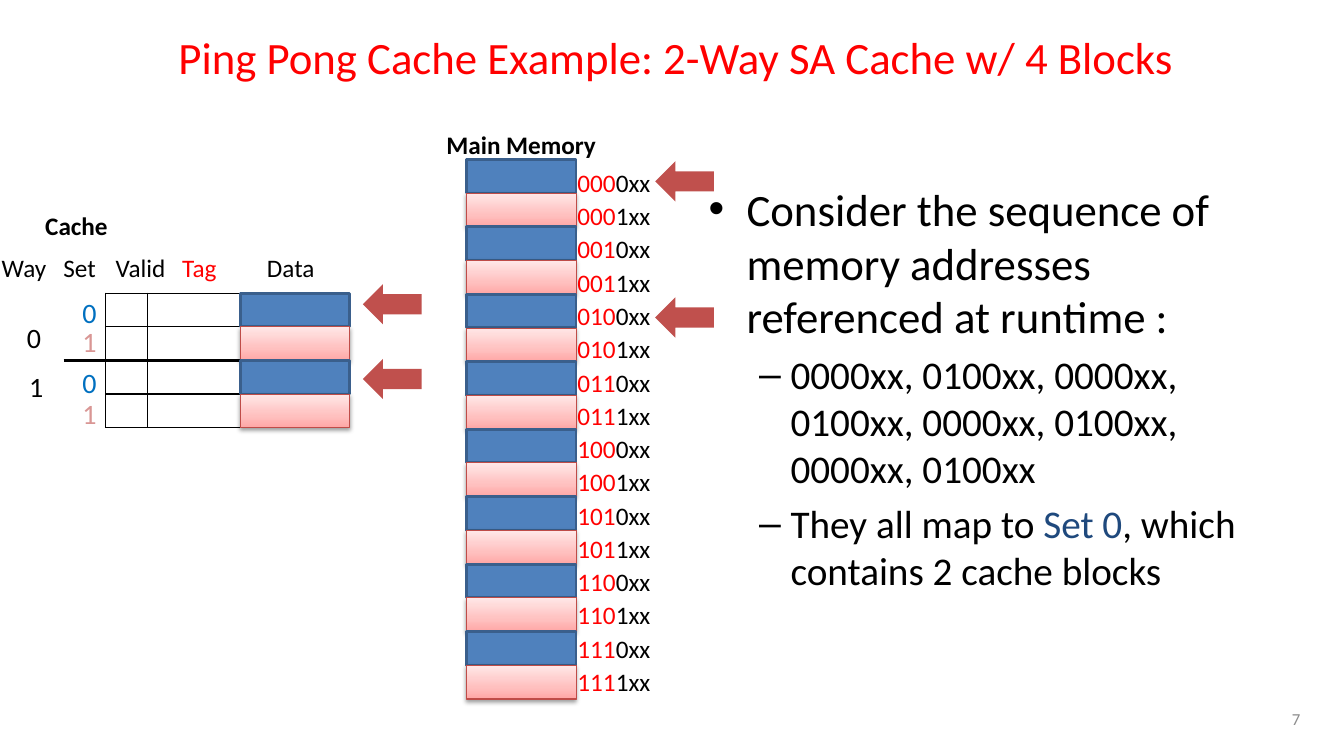
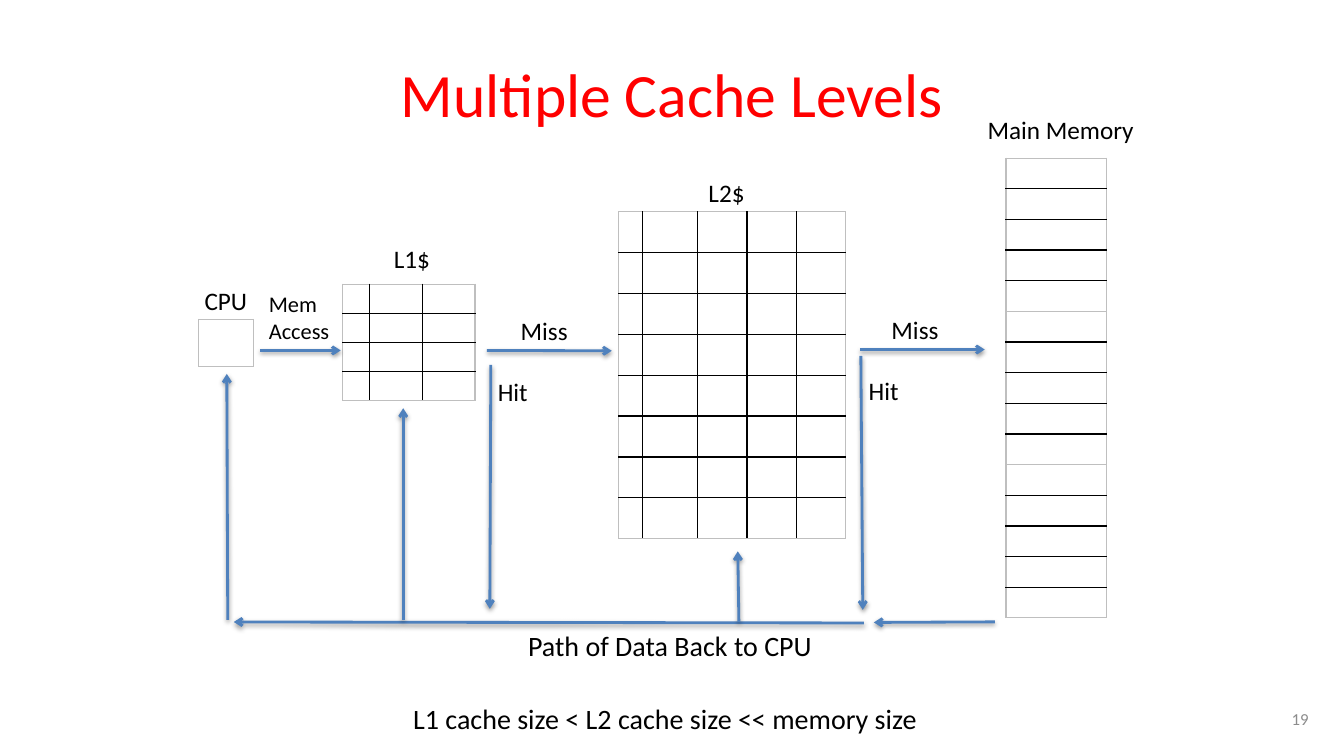
from dataclasses import dataclass
from itertools import product

from lxml.etree import SubElement
from pptx import Presentation
from pptx.dml.color import RGBColor as RGB
from pptx.enum.shapes import MSO_CONNECTOR as CONN, MSO_SHAPE as SHAPE
from pptx.enum.text import MSO_ANCHOR as ANCHOR, MSO_AUTO_SIZE as AUTO, PP_ALIGN as ALIGN
from pptx.oxml import parse_xml
from pptx.oxml.ns import nsdecls, qn
from pptx.util import Pt


@dataclass(frozen=True)
class Theme:
    font: str = "Calibri"
    black: str = "000000"
    red: str = "FF0000"
    gray: str = "8C8C8C"
    edge: str = "BFBFBF"
    blue: str = "4F81BD"
    blue_line: str = "3A5F8C"
    navy: str = "1F497D"
    set0: str = "0070C0"
    set1: str = "D99694"
    pink_line: str = "BF4C48"
    arrow: str = "C0504D"
    pink: tuple = ((0, "FFA6A5"), (35, "FFC0BF"), (100, "FFE7E7"))
    title: int = 44
    body: int = 32
    sub: int = 28
    large: int = 20
    label: int = 18
    small: int = 16
    number: int = 12


T = Theme()

PING_PONG = "Ping Pong Cache Example: 2-Way SA Cache w/ 4 Blocks"
BULLETS = [
    (0, [("Consider the sequence of memory addresses referenced at runtime :", T.black)]),
    (1, [("0000xx, 0100xx, 0000xx, 0100xx, 0000xx, 0100xx, 0000xx, 0100xx", T.black)]),
    (1, [("They all map to ", T.black), ("Set 0", T.navy),
         (", which contains 2 cache blocks", T.black)]),
]
CACHE_LABELS = [
    ("Main Memory", 311.8, 88.6, 122, T.label, T.black, True),
    ("Cache", 25.2, 146.9, 60, T.label, T.black, True),
    ("Way", -5.8, 176.4, 47, T.label, T.black, False),
    ("Set", 38.2, 176.4, 38, T.label, T.black, False),
    ("Valid", 75.6, 176.4, 50, T.label, T.black, False),
    ("Tag", 123.1, 176.4, 39, T.label, T.red, False),
    ("Data", 183.6, 176.4, 49, T.label, T.black, False),
    ("0", 12.2, 225.4, 25, T.large, T.black, False),
    ("1", 13.7, 260.6, 25, T.large, T.black, False),
    ("0", 51.8, 207.4, 25, T.large, T.set0, False),
    ("1", 51.8, 228.2, 25, T.large, T.set1, False),
    ("0", 51.8, 257.8, 25, T.large, T.set0, False),
    ("1", 51.8, 279.4, 25, T.large, T.set1, False),
]
POINTERS = [(259.2, 203), (259.2, 256.3), (468, 115.2), (468, 212.4)]
BLOCK_W, BLOCK_H = 78, 24
MEMORY_X, MEMORY_Y, MEMORY_PITCH = 333.5, 113.8, 24.1
CACHE_X, CACHE_Y = 75.6, 209.5

LEVELS = "Multiple Cache Levels"
MEMORY_PART = 109.44
LEVEL_TABLES = [
    (142, 228.2, [39], [33.7]),
    (244.8, 203, [19, 38, 37.5], [20.75] * 4),
    (442, 151.2, [17, 39.4, 35.2, 35.2, 35.2], [29.2] * 8),
] + [(718.6, 113 + k * MEMORY_PART, [72], [MEMORY_PART / 5] * 5) for k in range(3)]
LEVEL_LABELS = [
    ("CPU", 139, 200.2, 54, T.label),
    ("Mem\nAccess", 185, 203.8, 69, T.small),
    ("L1$", 274.3, 170.6, 45, T.label),
    ("L2$", 499, 123.1, 45, T.label),
    ("Main Memory", 698.4, 77.8, 127, T.label),
    ("Path of Data Back to CPU", 370.1, 445.7, 270, T.large),
    ("L1 cache size < L2 cache size << memory size", 288, 497.5, 444, T.large),
]
OUTCOMES = [(348.5, 221.8), (613.4, 221)]
ARROWS = [
    (185.8, 250.3, 243.4, 250.3),
    (347.8, 250.3, 437, 250.6),
    (614.2, 249.7, 703.4, 249.7),
    (350.6, 260.6, 349.9, 434.9),
    (614.9, 254.2, 616.3, 435.6),
    (710.6, 444.2, 624.2, 444.6),
    (617, 445, 167, 444.3),
    (162.7, 442.8, 162, 267.1),
    (288, 442.8, 288, 291.6),
    (527.8, 444.2, 527, 393.8),
]


def style(font, size, color=T.black, bold=False):
    font.name, font.size, font.bold = T.font, Pt(size), bold
    font.color.rgb = RGB.from_string(color)


def place(shape, *box):
    shape.left, shape.top, shape.width, shape.height = map(Pt, box)


def add_effects(shape, shadow):
    outer = ('<a:outerShdw blurRad="40000" dist="20000" dir="5400000" rotWithShape="0">'
             '<a:srgbClr val="000000"><a:alpha val="38000"/></a:srgbClr></a:outerShdw>')
    xml = f'<a:effectLst {nsdecls("a")}>{outer if shadow else ""}</a:effectLst>'
    shape._element.spPr.append(parse_xml(xml))


def add_title(s, text, box, size, spacing=1.0):
    sp = s.shapes.title
    place(sp, *box)
    tf = sp.text_frame
    tf.text = text
    tf.auto_size, tf.vertical_anchor = AUTO.NONE, ANCHOR.MIDDLE
    p = tf.paragraphs[0]
    p.alignment, p.line_spacing = ALIGN.CENTER, spacing
    style(p.runs[0].font, size, T.red)


def add_label(s, text, x, y, w, size, color=T.black, bold=False):
    sp = s.shapes.add_textbox(Pt(x), Pt(y), Pt(w), Pt(size * 1.6))
    tf = sp.text_frame
    tf.word_wrap = True
    tf.text = text
    for p in tf.paragraphs:
        for r in p.runs:
            style(r.font, size, color, bold)
    return tf


def add_number(s, text, right):
    tf = add_label(s, text, right - 108, 503, 108, T.number, T.gray)
    tf.paragraphs[0].alignment = ALIGN.RIGHT


def add_runs(p, parts, size):
    for text, color in parts:
        r = p.add_run()
        r.text = text
        style(r.font, size, color)


def add_line(s, ends, color, width, arrow=False):
    c = s.shapes.add_connector(CONN.STRAIGHT, *map(Pt, ends))
    c.line.color.rgb, c.line.width = RGB.from_string(color), Pt(width)
    if arrow:
        SubElement(c.line._get_or_add_ln(), qn("a:tailEnd")).set("type", "arrow")
    add_effects(c, arrow)


def add_grid(s, x, y, cols, rows, edge):
    frame = s.shapes.add_table(len(rows), len(cols), Pt(x), Pt(y), Pt(sum(cols)), Pt(sum(rows)))
    table = frame.table
    table.first_row = table.horz_banding = False
    for col, w in zip(table.columns, cols):
        col.width = Pt(w)
    for row, h in zip(table.rows, rows):
        row.height = Pt(h)
    for i, j in product(range(len(rows)), range(len(cols))):
        cell = table.cell(i, j)
        cell.fill.background()
        cell.margin_left = cell.margin_right = cell.margin_top = cell.margin_bottom = 0
        SubElement(cell.text_frame.paragraphs[0]._p, qn("a:endParaRPr")).set("sz", "800")
        outer = {"L": j == 0, "R": j == len(cols) - 1, "T": i == 0, "B": i == len(rows) - 1}
        for k, (side, on_edge) in enumerate(outer.items()):
            xml = (f'<a:ln{side} {nsdecls("a")} w="{Pt(1)}"><a:solidFill>'
                   f'<a:srgbClr val="{edge if on_edge else T.black}"/></a:solidFill></a:ln{side}>')
            cell._tc.get_or_add_tcPr().insert(k, parse_xml(xml))


def add_block(s, x, y, odd):
    sp = s.shapes.add_shape(SHAPE.RECTANGLE, Pt(x), Pt(y), Pt(BLOCK_W), Pt(BLOCK_H))
    sp.line.color.rgb = RGB.from_string(T.pink_line if odd else T.blue_line)
    sp.line.width = Pt(0.75 if odd else 2)
    if odd:
        stops = "".join(f'<a:gs pos="{pos * 1000}"><a:srgbClr val="{color}"/></a:gs>'
                        for pos, color in T.pink)
        xml = (f'<a:gradFill {nsdecls("a")} rotWithShape="1"><a:gsLst>{stops}</a:gsLst>'
               '<a:lin ang="16200000" scaled="0"/></a:gradFill>')
        sp._element.spPr.find(qn("a:prstGeom")).addnext(parse_xml(xml))
    else:
        sp.fill.solid()
        sp.fill.fore_color.rgb = RGB.from_string(T.blue)
    add_effects(sp, odd)


def add_pointer(s, x, y):
    sp = s.shapes.add_shape(SHAPE.LEFT_ARROW, Pt(x), Pt(y), Pt(42), Pt(28.8))
    sp.shadow.inherit = False
    sp.fill.solid()
    sp.fill.fore_color.rgb = RGB.from_string(T.arrow)
    sp.line.fill.background()


def build_ping_pong(prs):
    s = prs.slides.add_slide(prs.slide_layouts[1])
    add_title(s, PING_PONG, (110, 6.5, 746, 74), T.body, 0.85)
    body = s.placeholders[1]
    place(body, 499, 126, 413.3, 356.4)
    tf = body.text_frame
    tf.auto_size = AUTO.NONE
    for k, (level, parts) in enumerate(BULLETS):
        p = tf.add_paragraph() if k else tf.paragraphs[0]
        p.level = level
        add_runs(p, parts, T.sub if level else T.body)
    for k in range(16):
        add_block(s, MEMORY_X, MEMORY_Y + k * MEMORY_PITCH, k % 2)
    addresses = add_label(s, "", 405.4, 113.8, 78, T.label)
    for k in range(16):
        p = addresses.add_paragraph() if k else addresses.paragraphs[0]
        p.line_spacing = 1.1
        add_runs(p, [(f"{k // 2:03b}", T.red), (f"{k % 2}xx", T.black)], T.label)
    add_grid(s, CACHE_X, CACHE_Y, [30, 66], [BLOCK_H] * 4, T.black)
    middle = CACHE_Y + 2 * BLOCK_H
    add_line(s, (45.4, middle, 249.1, middle), T.black, 2.25)
    for k in range(4):
        add_block(s, CACHE_X + 96, CACHE_Y + k * BLOCK_H, k % 2)
    for label in CACHE_LABELS:
        add_label(s, *label)
    for pointer in POINTERS:
        add_pointer(s, *pointer)
    add_number(s, "7", 936)


def build_levels(prs):
    s = prs.slides.add_slide(prs.slide_layouts[5])
    add_title(s, LEVELS, (48, 21.6, 864, 90), T.title)
    for grid in LEVEL_TABLES:
        add_grid(s, *grid, T.edge)
    for ends in ARROWS:
        add_line(s, ends, T.blue, 2, arrow=True)
    for label in LEVEL_LABELS:
        add_label(s, *label)
    for x, y in OUTCOMES:
        add_label(s, "Miss", x + 16.3, y, 60, T.label)
        add_label(s, "Hit", x, y + 43.6, 50, T.label)
    add_number(s, "19", 941.8)


def main():
    prs = Presentation()
    prs.slide_width, prs.slide_height = Pt(960), Pt(540)
    build_ping_pong(prs)
    build_levels(prs)
    prs.save("out.pptx")


if __name__ == "__main__":
    main()
